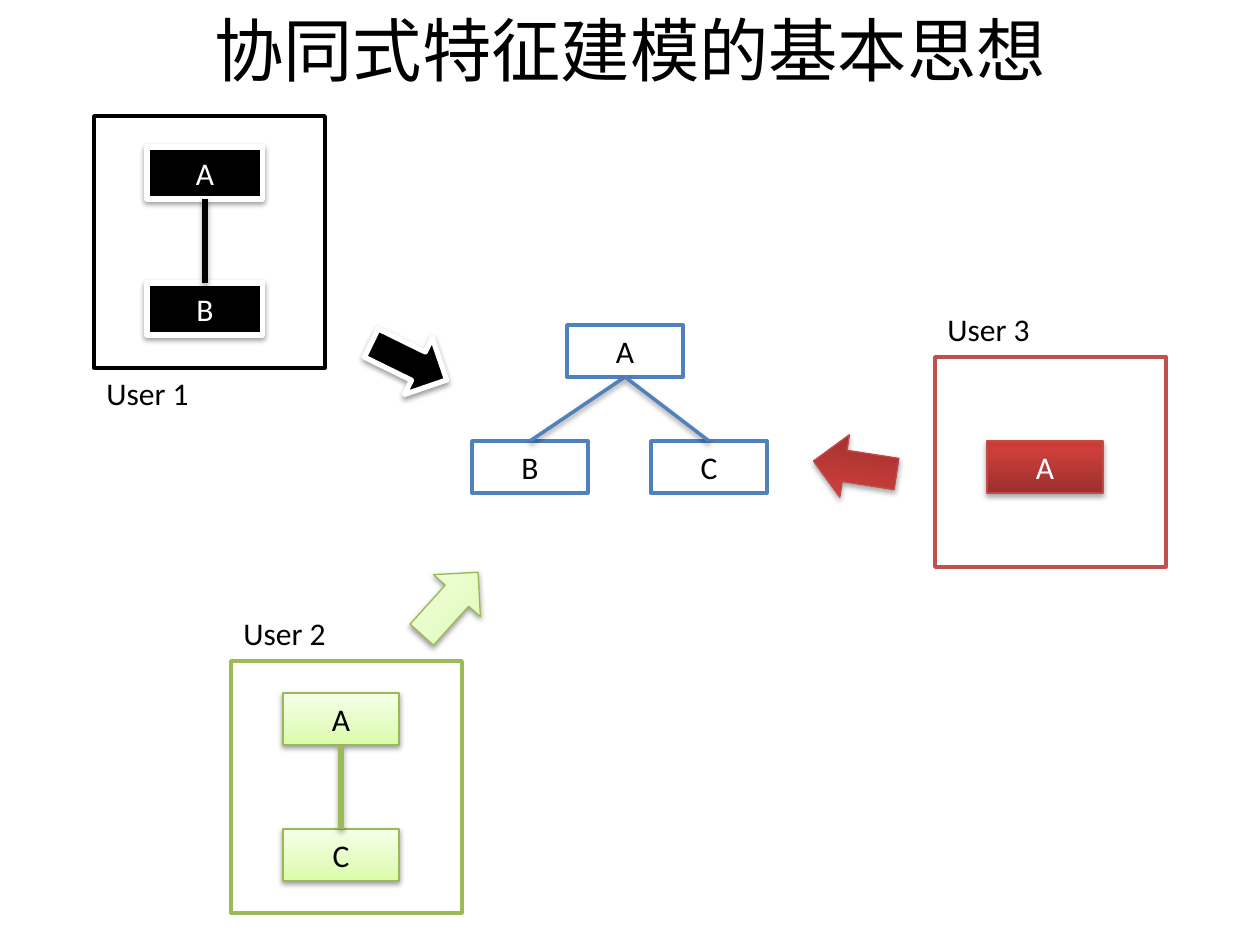
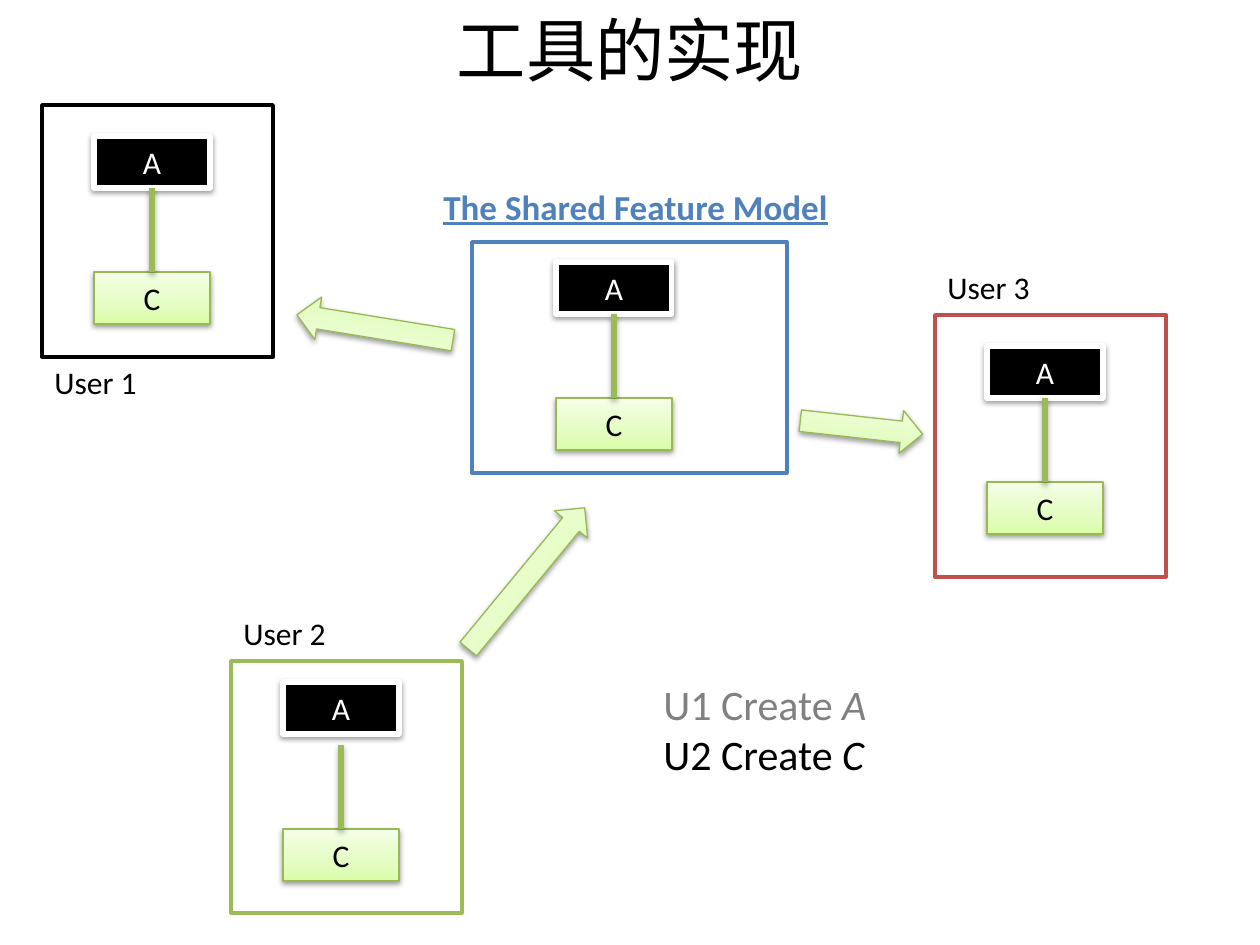
from dataclasses import dataclass
from typing import Optional

from lxml.etree import SubElement
from pptx import Presentation
from pptx.dml.color import RGBColor
from pptx.enum.shapes import MSO_CONNECTOR as Connector, MSO_SHAPE as Shape
from pptx.enum.text import MSO_ANCHOR as Anchor, MSO_AUTO_SIZE as AutoSize, PP_ALIGN as Align
from pptx.oxml import parse_xml
from pptx.oxml.ns import nsdecls, qn
from pptx.util import Emu, Pt

COLORS = {
    "black": "000000", "white": "FFFFFF", "gray": "808080",
    "blue": "4F81BD", "red": "C0504D", "green": "9BBB59",
    "red edge": "BF4C48", "green edge": "98B955",
}
GRADIENTS = {
    "red": [(0, "9C2F2D"), (80, "CB3E3A"), (100, "CE3B37")],
    "green": [(0, "DAFDA7"), (35, "E4FCC2"), (100, "F5FFE7")],
}
# opacity in percent, distance in EMU
SOFT, DEEP = (38, 20000), (35, 23000)
FONT = "Calibri"
NODE_W, NODE_H = 116, 52
LINK = 84
DROP = NODE_H + LINK
FRAME_W, FRAME_H = 231, 252
LABEL_W, LABEL_H = 108, 50


@dataclass
class Style:
    line: str
    width: float
    fill: str = "white"
    gradient: Optional[str] = None
    text: str = "black"
    shadow: Optional[tuple] = None


BLACK = Style("white", 3, fill="black", text="white", shadow=SOFT)
GREEN = Style("green edge", 0.75, gradient="green", shadow=SOFT)
RED = Style("red edge", 0.75, gradient="red", text="white", shadow=DEEP)
PLAIN = Style("blue", 2)


def px(*lengths):
    return [Emu(round(length * 914400 / 126)) for length in lengths]


def rgb(name):
    return RGBColor.from_string(COLORS[name])


def set_line(shape, color, width):
    shape.line.color.rgb = rgb(color)
    shape.line.width = Pt(width)


def set_shadow(shape, shadow):
    """Replace the theme shadow; call after fill and line are set."""
    effects = SubElement(shape._element.spPr, qn("a:effectLst"))
    if shadow:
        opacity, distance = shadow
        outer = SubElement(effects, qn("a:outerShdw"), blurRad="40000",
                           dist=str(distance), dir="5400000", rotWithShape="0")
        color = SubElement(outer, qn("a:srgbClr"), val=COLORS["black"])
        SubElement(color, qn("a:alpha"), val=str(opacity * 1000))


def set_gradient(shape, stops):
    """Fill from the bottom edge up."""
    marks = "".join(f'<a:gs pos="{at * 1000}"><a:srgbClr val="{color}"/></a:gs>'
                    for at, color in stops)
    fill = parse_xml(f'<a:gradFill {nsdecls("a")} rotWithShape="1"><a:gsLst>{marks}</a:gsLst>'
                     '<a:lin ang="16200000" scaled="0"/></a:gradFill>')
    shape._element.spPr.find(qn("a:prstGeom")).addnext(fill)


def add_run(para, text, size, color="black", bold=None, italic=None, underline=None):
    span = para.add_run()
    span.text = text
    font = span.font
    font.name, font.size = FONT, Pt(size)
    font.color.rgb = rgb(color)
    font.bold, font.italic, font.underline = bold, italic, underline


def add_styled(page, kind, box, style):
    shape = page.shapes.add_shape(kind, *px(*box))
    if style.gradient:
        set_gradient(shape, GRADIENTS[style.gradient])
    else:
        shape.fill.solid()
        shape.fill.fore_color.rgb = rgb(style.fill)
    set_line(shape, style.line, style.width)
    set_shadow(shape, style.shadow)
    return shape


def add_node(page, x, y, name, style):
    node = add_styled(page, Shape.RECTANGLE, (x, y, NODE_W, NODE_H), style)
    frame = node.text_frame
    frame.vertical_anchor = Anchor.MIDDLE
    para = frame.paragraphs[0]
    para.alignment = Align.CENTER
    add_run(para, name, 18, style.text)
    return node


def add_link(page, start, end, color, width, shadow):
    link = page.shapes.add_connector(Connector.STRAIGHT, *px(*start, *end))
    set_line(link, color, width)
    set_shadow(link, shadow)
    return link


def add_pair(page, x, y, top, bottom, color, drop=DROP):
    """Two (name, style) nodes, one above the other, and the link that ends at the lower one."""
    upper = add_node(page, x, y, *top)
    lower = add_node(page, x, y + drop, *bottom)
    middle = x + NODE_W // 2
    link = add_link(page, (middle, y + drop - LINK), (middle, y + drop), color, 3, DEEP)
    if drop == DROP:
        link.begin_connect(upper, 2)
    link.end_connect(lower, 0)


def add_tree(page, x, y):
    root = add_node(page, x + 95, y, "A", PLAIN)
    for offset, name in ((0, "B"), (179, "C")):
        leaf = add_node(page, x + offset, y + 116, name, PLAIN)
        link = add_link(page, (x, y), (x, y), "blue", 2, SOFT)
        link.begin_connect(root, 2)
        link.end_connect(leaf, 0)


def add_text(page, box, paragraphs):
    """Paragraphs are lists of (text, font options)."""
    frame = page.shapes.add_textbox(*px(*box)).text_frame
    frame.word_wrap = False
    frame.auto_size = AutoSize.SHAPE_TO_FIT_TEXT
    for number, runs in enumerate(paragraphs):
        para = frame.add_paragraph() if number else frame.paragraphs[0]
        for text, options in runs:
            add_run(para, text, **options)


def add_frame(page, box, color):
    add_styled(page, Shape.RECTANGLE, box, Style(color, 2))


def add_user(page, number, x, y, color, height=FRAME_H, label_below=False):
    add_frame(page, (x, y, FRAME_W, height), color)
    label_y = y + height if label_below else y - 53
    add_text(page, (x, label_y, LABEL_W, LABEL_H), [[(f"User {number}", {"size": 18})]])


def add_arrow(page, box, rotation, style):
    add_styled(page, Shape.RIGHT_ARROW, box, style).rotation = rotation


def add_page(deck, title):
    page = deck.slides.add_slide(deck.slide_layouts[5])
    holder = page.shapes.title
    holder.left, holder.top, holder.width, holder.height = px(63, 0, 1134, 98)
    frame = holder.text_frame
    frame.auto_size = AutoSize.NONE
    frame.vertical_anchor = Anchor.MIDDLE
    para = frame.paragraphs[0]
    para.alignment = Align.CENTER
    add_run(para, title, 39.6)
    return page


def build_idea(deck):
    page = add_page(deck, "协同式特征建模的基本思想")
    add_user(page, 1, 94, 116, "black", label_below=True)
    add_pair(page, 147, 147, ("A", BLACK), ("B", BLACK), "black")
    add_user(page, 3, 935, 357, "red", height=210)
    add_node(page, 987, 441, "A", RED)
    add_user(page, 2, 231, 661, "green")
    add_pair(page, 283, 693, ("A", GREEN), ("C", GREEN), "green")
    add_tree(page, 472, 325)
    for x, y, rotation, style in ((367, 330, 26.1, BLACK), (408, 572, 312, GREEN),
                                  (813, 436, 188.8, RED)):
        add_arrow(page, (x, y, 84, 63), rotation, style)


def build_tool(deck):
    page = add_page(deck, "工具的实现")
    add_frame(page, (472, 242, 315, 231), "blue")
    add_text(page, (431, 179, 413, 55), [[
        ("The Shared Feature Model",
         {"size": 20, "color": "blue", "bold": True, "underline": True})]])
    add_user(page, 1, 42, 105, "black", label_below=True)
    add_user(page, 2, 231, 661, "green")
    add_user(page, 3, 935, 315, "red", height=262)
    for x, y, drop in ((94, 136, DROP), (556, 262, DROP), (987, 346, DROP), (283, 682, 147)):
        add_pair(page, x, y, ("A", BLACK), ("C", GREEN), "green", drop)
    for x, y, length, rotation in ((435, 557, 183, 309.5), (296, 306, 158, 189.2),
                                   (800, 406, 123, 6.3)):
        add_arrow(page, (x, y, length, 43), rotation, GREEN)
    add_text(page, (651, 672, 231, 115), [
        [(f"{user} Create ", {"size": 24, "color": color}),
         (feature, {"size": 24, "color": color, "italic": True})]
        for user, feature, color in (("U1", "A", "gray"), ("U2", "C", "black"))])


def main():
    deck = Presentation()
    deck.slide_width, deck.slide_height = px(1260, 945)
    build_idea(deck)
    build_tool(deck)
    deck.save("out.pptx")


if __name__ == "__main__":
    main()
